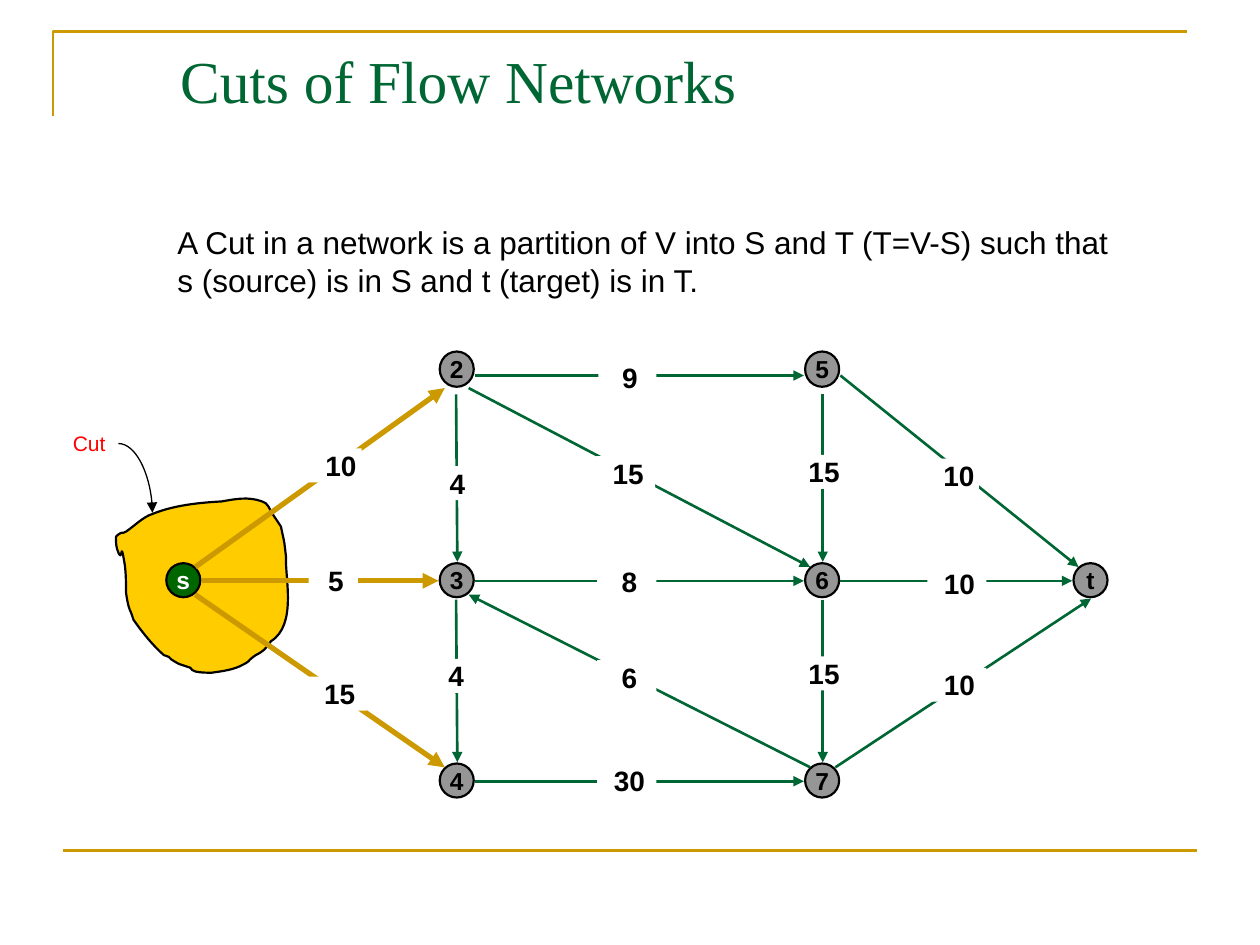
from dataclasses import dataclass

import pptx
import pptx.dml.color
import pptx.enum.shapes
import pptx.enum.text
import pptx.oxml
import pptx.oxml.ns
import pptx.util
from lxml import etree
from pptx.util import Inches

COLORS = {
    "gold": "CC9900", "green": "006633", "source": "006600", "node": "969696",
    "cut": "FFCC00", "red": "FF0000", "black": "000000", "white": "FFFFFF",
}
NODE_SIZE = 0.27
LEFT, RIGHT, TARGET = 3.49, 6.39, 8.52
TOP, MIDDLE, BOTTOM = 2.79, 4.47, 6.06


@dataclass
class Node:
    name: str
    x: float
    y: float
    fill: str = "node"
    font: str = "black"
    height: float = NODE_SIZE


@dataclass
class Edge:
    start: tuple[float, float]
    end: tuple[float, float]
    color: str = "green"
    width: float = 1.5


@dataclass
class Capacity:
    value: str
    x: float
    y: float
    width: float = 0.47
    indent: float = 0.04


NODES = [
    Node("s", 1.32, MIDDLE, "source", "white"),
    Node("3", LEFT, MIDDLE), Node("4", LEFT, BOTTOM),
    Node("6", RIGHT, MIDDLE), Node("7", RIGHT, BOTTOM),
    Node("t", TARGET, MIDDLE),
    Node("2", LEFT, TOP, height=0.28), Node("5", RIGHT, TOP, height=0.28),
]
EDGES = [
    Edge((1.55, 4.5), (3.53, 3.08), "gold", 3),
    Edge((1.6, 4.61), (3.48, 4.61), "gold", 3),
    Edge((1.55, 4.72), (3.53, 6.09), "gold", 3),
    Edge((3.77, 4.61), (6.38, 4.61)),
    Edge((6.43, 6.09), (3.72, 4.72)),
    Edge((3.62, 4.76), (3.63, 6.05)),
    Edge((3.77, 2.98), (6.38, 2.98)),
    Edge((3.77, 6.2), (6.38, 6.2)),
    Edge((3.62, 3.13), (3.63, 4.46)),
    Edge((6.53, 4.76), (6.53, 6.05)),
    Edge((6.53, 3.13), (6.53, 4.46)),
    Edge((3.72, 3.08), (6.43, 4.5)),
    Edge((6.67, 2.98), (8.56, 4.5)),
    Edge((6.67, 4.61), (8.51, 4.61)),
    Edge((6.63, 6.09), (8.66, 4.75)),
]
CAPACITIES = [
    Capacity("15", 2.44, 5.37), Capacity("5", 2.45, 4.47, 0.39),
    Capacity("30", 4.74, 6.06), Capacity("15", 6.29, 5.21, 0.46),
    Capacity("10", 2.4, 3.56, indent=0.14), Capacity("8", 4.74, 4.48),
    Capacity("15", 4.73, 3.62), Capacity("9", 4.75, 2.86, 0.46),
    Capacity("6", 4.74, 5.24), Capacity("10", 7.36, 5.3),
    Capacity("10", 7.36, 4.5), Capacity("10", 7.31, 3.64, 0.46, 0.14),
    Capacity("15", 6.29, 3.61, 0.46), Capacity("4", 3.38, 3.7, 0.46),
    Capacity("4", 3.37, 5.23, 0.46),
]
CUT_START = (0.92, 4.26)
CUT_CURVES = [
    (0.93, 4.25, 0.94, 4.24, 0.96, 4.23), (0.97, 4.23, 0.99, 4.23, 1, 4.22),
    (1.06, 4.18, 1.14, 4.1, 1.21, 4.08), (1.38, 4.01, 1.58, 3.99, 1.76, 3.98),
    (1.87, 3.96, 1.97, 3.94, 2.08, 3.98), (2.13, 3.99, 2.14, 4.05, 2.17, 4.09),
    (2.19, 4.12, 2.23, 4.18, 2.23, 4.18), (2.26, 4.33, 2.25, 4.25, 2.27, 4.42),
    (2.26, 4.58, 2.36, 4.96, 2.15, 5.09), (2.11, 5.15, 2.09, 5.17, 2.03, 5.2),
    (1.93, 5.27, 2.02, 5.23, 1.9, 5.29), (1.83, 5.32, 1.75, 5.33, 1.68, 5.34),
    (1.64, 5.34, 1.59, 5.34, 1.55, 5.33), (1.53, 5.33, 1.52, 5.31, 1.51, 5.3),
    (1.47, 5.28, 1.46, 5.29, 1.42, 5.27), (1.29, 5.2, 1.39, 5.23, 1.3, 5.2),
    (1.21, 5.12, 1.13, 5.02, 1.06, 4.92), (1.05, 4.89, 1.04, 4.86, 1.03, 4.84),
    (1.01, 4.79, 1, 4.7, 1, 4.7), (1, 4.63, 1, 4.55, 0.99, 4.48),
    (0.95, 4.24, 0.98, 4.51, 0.93, 4.36), (0.92, 4.33, 0.92, 4.29, 0.92, 4.26),
]


def rgb(color: str) -> pptx.dml.color.RGBColor:
    return pptx.dml.color.RGBColor.from_string(COLORS[color])


def add_run(paragraph, text: str, size: float, color: str, bold=False, font="Arial") -> None:
    run = paragraph.add_run()
    run.text = text
    run.font.name = font
    run.font.size = pptx.util.Pt(size)
    run.font.bold = bold
    run.font.color.rgb = rgb(color)


def style_shape(shape, fill: str | None, line: str | None, width: float = 1.25) -> None:
    shape.shadow.inherit = False
    if fill:
        shape.fill.solid()
        shape.fill.fore_color.rgb = rgb(fill)
    else:
        shape.fill.background()
    if line:
        shape.line.color.rgb = rgb(line)
        shape.line.width = pptx.util.Pt(width)
    else:
        shape.line.fill.background()


def add_outline(slide, points: list[tuple[float, float]], closed: bool):
    corners = [(Inches(x), Inches(y)) for x, y in points]
    builder = slide.shapes.build_freeform(*corners[0])
    builder.add_line_segments(corners[1:], close=closed)
    return builder.convert_to_shape()


def add_curved_outline(slide, start: tuple[float, float], curves: list[tuple]):
    qn = pptx.oxml.ns.qn
    shape = add_outline(slide, [start] + [curve[4:] for curve in curves], closed=True)
    segments = list(shape._element.iter(qn("a:lnTo")))
    for segment, curve in zip(segments, curves):
        bezier = etree.Element(qn("a:cubicBezTo"))
        for x, y in zip(curve[::2], curve[1::2]):
            etree.SubElement(bezier, qn("a:pt"), x=str(Inches(x) - shape.left),
                             y=str(Inches(y) - shape.top))
        segment.getparent().replace(segment, bezier)
    return shape


def add_edge(slide, edge: Edge, arrow: bool = True, curved: bool = False) -> None:
    kinds = pptx.enum.shapes.MSO_CONNECTOR
    connector = slide.shapes.add_connector(
        kinds.CURVE if curved else kinds.STRAIGHT,
        *(Inches(value) for value in edge.start + edge.end))
    connector.line.color.rgb = rgb(edge.color)
    connector.line.width = pptx.util.Pt(edge.width)
    properties = connector._element.spPr
    if curved:
        properties.find(pptx.oxml.ns.qn("a:prstGeom")).set("prst", "curvedConnector2")
    if arrow:
        tail = pptx.oxml.parse_xml(f'<a:tailEnd {pptx.oxml.ns.nsdecls("a")} type="triangle"/>')
        properties.find(pptx.oxml.ns.qn("a:ln")).append(tail)
    properties.append(pptx.oxml.parse_xml(f'<a:effectLst {pptx.oxml.ns.nsdecls("a")}/>'))


def add_centred_shape(slide, kind, x: float, y: float, width: float, height: float,
                      text: str, size: float, color: str):
    shape = slide.shapes.add_shape(kind, Inches(x), Inches(y), Inches(width), Inches(height))
    frame = shape.text_frame
    frame.vertical_anchor = pptx.enum.text.MSO_ANCHOR.MIDDLE
    frame.margin_left = frame.margin_right = frame.margin_top = frame.margin_bottom = 0
    frame.word_wrap = False
    paragraph = frame.paragraphs[0]
    paragraph.alignment = pptx.enum.text.PP_ALIGN.CENTER
    add_run(paragraph, text, size, color, bold=True)
    return shape


def add_node(slide, node: Node) -> None:
    shape = add_centred_shape(slide, pptx.enum.shapes.MSO_SHAPE.OVAL, node.x, node.y,
                              NODE_SIZE, node.height, node.name, 14, node.font)
    style_shape(shape, node.fill, "black")


def add_capacity(slide, capacity: Capacity) -> None:
    shape = add_centred_shape(slide, pptx.enum.shapes.MSO_SHAPE.RECTANGLE, capacity.x, capacity.y,
                              capacity.width, NODE_SIZE, capacity.value, 16, "black")
    shape.text_frame.word_wrap = True
    shape.text_frame.vertical_anchor = pptx.enum.text.MSO_ANCHOR.TOP
    shape.text_frame.margin_left = Inches(capacity.indent)
    style_shape(shape, "white", None)


def add_text(slide, x: float, y: float, width: float, height: float,
             lines: list[str], size: float, color: str) -> None:
    box = slide.shapes.add_textbox(Inches(x), Inches(y), Inches(width), Inches(height))
    frame = box.text_frame
    frame.word_wrap = False
    frame.auto_size = pptx.enum.text.MSO_AUTO_SIZE.SHAPE_TO_FIT_TEXT
    for index, line in enumerate(lines):
        paragraph = frame.add_paragraph() if index else frame.paragraphs[0]
        add_run(paragraph, line, size, color)


def main() -> None:
    presentation = pptx.Presentation()
    presentation.slide_width, presentation.slide_height = Inches(10), Inches(7.5)
    slide = presentation.slides.add_slide(presentation.slide_layouts[5])
    frame_line = add_outline(slide, [(0.42, 0.92), (0.42, 0.25), (9.42, 0.25)], closed=False)
    style_shape(frame_line, None, "gold", 1.5)
    add_edge(slide, Edge((0.5, 6.75), (9.5, 6.75), "gold"), arrow=False)
    title = slide.shapes.title
    title.left, title.top, title.width, title.height = map(Inches, (1.33, 0.3, 9, 1.25))
    title.text_frame.vertical_anchor = pptx.enum.text.MSO_ANCHOR.TOP
    paragraph = title.text_frame.paragraphs[0]
    paragraph.alignment = pptx.enum.text.PP_ALIGN.LEFT
    add_run(paragraph, "Cuts of Flow Networks", 34, "green", font="Times New Roman")
    add_text(slide, 1.31, 1.72, 7.69, 0.7, [
        "A Cut in a network is a partition of V into S and T (T=V-S) such that",
        "s (source) is in S and t (target) is in T."], 18, "black")
    cut = add_curved_outline(slide, CUT_START, CUT_CURVES)
    style_shape(cut, "cut", "black")
    for node in NODES:
        add_node(slide, node)
    for edge in EDGES:
        add_edge(slide, edge)
    for capacity in CAPACITIES:
        add_capacity(slide, capacity)
    add_text(slide, 0.48, 3.37, 0.46, 0.3, ["Cut"], 12, "red")
    add_edge(slide, Edge((0.94, 3.52), (1.21, 4.07), "black", 0.75), curved=True)
    presentation.save("out.pptx")


if __name__ == "__main__":
    main()
